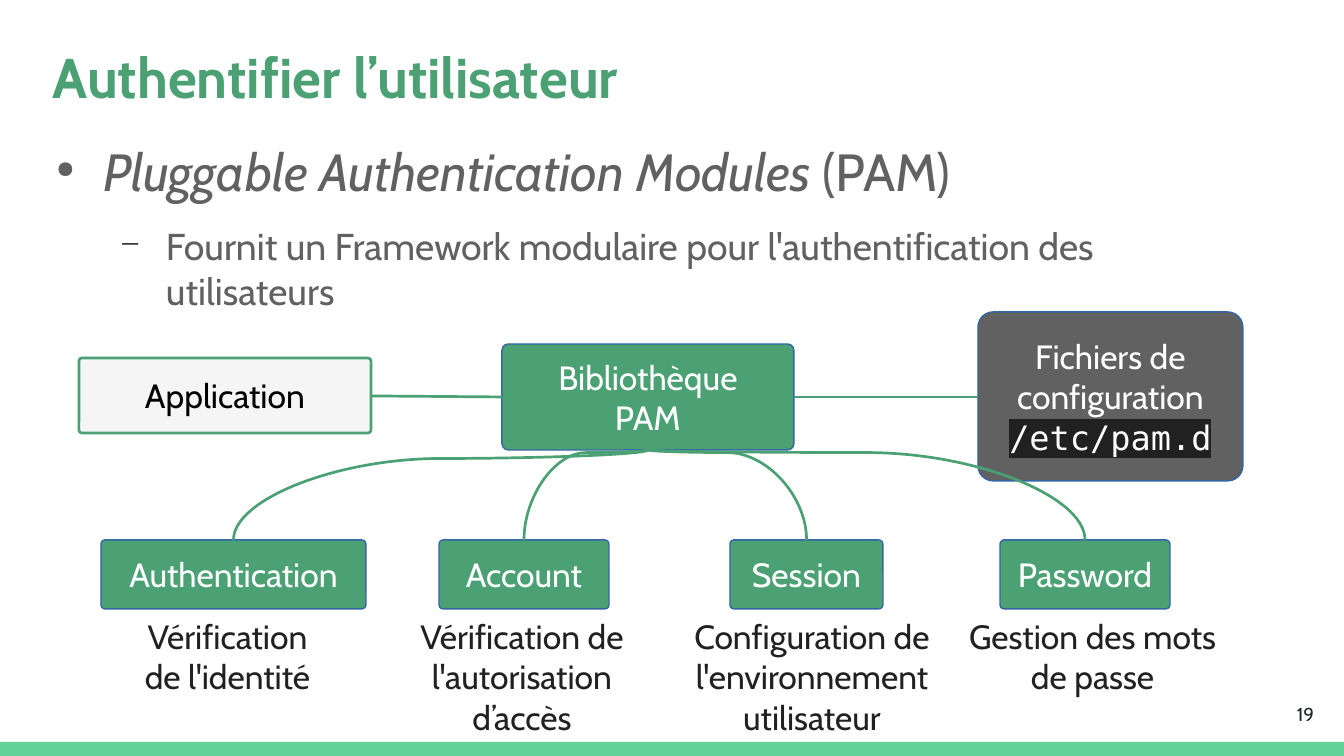
from pptx import Presentation
from pptx.dml.color import RGBColor
from pptx.enum.shapes import MSO_CONNECTOR as Connector, MSO_SHAPE as Shape
from pptx.enum.text import MSO_ANCHOR as Anchor, PP_ALIGN as Align
from pptx.oxml import parse_xml
from pptx.oxml.ns import nsdecls, qn
from pptx.util import Pt

PX = 9144000 / 1344
COLORS = {
    "green": "4BA173", "band": "63D297", "gray": "616161", "light": "F5F5F5",
    "blue": "3465A4", "dark": "212121", "number": "202729",
    "black": "000000", "white": "FFFFFF",
}


def px(*lengths):
    return [round(length * PX) for length in lengths]


def write_text(shape, text, size, color, align, anchor=Anchor.TOP, inset=7, wrap=True):
    """Fill a shape with text in one format; inset is the top and bottom margin in px."""
    frame = shape.text_frame
    frame.word_wrap = wrap
    frame.vertical_anchor = anchor
    frame.margin_left, frame.margin_right = px(13, 13)
    frame.margin_top, frame.margin_bottom = px(inset, inset)
    frame.text = text
    for paragraph in frame.paragraphs:
        paragraph.alignment = align
        for run in paragraph.runs:
            run.font.size = Pt(size)
            run.font.name = "Cabin"
            run.font.color.rgb = RGBColor.from_string(COLORS[color])


presentation = Presentation()
presentation.slide_width, presentation.slide_height = px(1344, 756)
slide = presentation.slides.add_slide(presentation.slide_layouts[6])
shapes = slide.shapes

# Bottom band, title and slide number
band = shapes.add_shape(Shape.RECTANGLE, *px(0, 742, 1344, 14))
band.shadow.inherit = False
band.fill.solid()
band.fill.fore_color.rgb = RGBColor.from_string(COLORS["band"])
band.line.fill.background()

title = shapes.add_textbox(*px(40, 20, 1282, 85))
write_text(title, "Authentifier l’utilisateur", 30, "green", Align.LEFT, inset=13)
title_paragraph = title.text_frame.paragraphs[0]
title_paragraph.line_spacing = 1.15
title_paragraph.runs[0].font.bold = True

number = shapes.add_textbox(*px(1246, 685, 81, 58))
write_text(number, "19", 10, "number", Align.RIGHT, Anchor.MIDDLE, inset=13)

# Bulleted text
body = shapes.add_textbox(*px(27, 117, 1254, 210))
write_text(
    body,
    "Pluggable Authentication Modules\n"
    "Fournit un Framework modulaire pour l'authentification des utilisateurs",
    20, "gray", Align.LEFT, inset=13,
)
heading, detail = body.text_frame.paragraphs
heading.line_spacing = 1.15
detail.level = 1
detail.space_before = Pt(11.3)
heading.add_run().text = " (PAM)"
for run in heading.runs:
    run.font.size = Pt(28)
    run.font.name = "Cabin"
    run.font.color.rgb = RGBColor.from_string(COLORS["gray"])
heading.runs[0].font.italic = True

bullets = [(heading, 63, "●", "gray", 45), (detail, 126, "−", "black", 75)]
for paragraph, margin, character, color, percent in bullets:
    properties = paragraph._p.get_or_add_pPr()
    margin_emu, indent_emu = px(margin, -47)
    properties.set("marL", str(margin_emu))
    properties.set("indent", str(indent_emu))
    for xml in (
        f'<a:buClr {nsdecls("a")}><a:srgbClr val="{COLORS[color]}"/></a:buClr>',
        f'<a:buSzPct {nsdecls("a")} val="{percent * 1000}"/>',
        f'<a:buChar {nsdecls("a")} char="{character}"/>',
    ):
        properties.append(parse_xml(xml))

# Boxes of the diagram; \v is a line break
MODULE_TOP, MODULE_HEIGHT = 540, 69
modules = [
    ("Authentication", 101, 265), ("Account", 439, 170),
    ("Session", 730, 153), ("Password", 1000, 170),
]
boxes = [
    ("Application", 79, 358, 292, 75, 0.04, "light", "green", 1.45, "black"),
    ("Bibliothèque\vPAM", 502, 344, 292, 106, 0.06, "green", "blue", 0, "white"),
    ("Fichiers de\vconfiguration\v", 978, 312, 265, 169, 0.09, "gray", "blue", 0, "white"),
] + [
    (name, left, MODULE_TOP, width, MODULE_HEIGHT, 0.06, "green", "blue", 0, "white")
    for name, left, width in modules
]
for text, left, top, width, height, corner, fill, line, line_width, color in boxes:
    box = shapes.add_shape(Shape.ROUNDED_RECTANGLE, *px(left, top, width, height))
    box.adjustments[0] = corner
    box.shadow.inherit = False
    box.fill.solid()
    box.fill.fore_color.rgb = RGBColor.from_string(COLORS[fill])
    box.line.color.rgb = RGBColor.from_string(COLORS[line])
    box.line.width = Pt(line_width)
    write_text(box, text, 18, color, Align.CENTER, Anchor.MIDDLE, wrap=False)
    if text.startswith("Fichiers"):
        folder = box.text_frame.paragraphs[0].add_run()
        folder.text = "/etc/pam.d"
        folder.font.size = Pt(18)
        folder.font.color.rgb = RGBColor.from_string(COLORS["white"])
        folder.font.name = "DejaVu Sans Mono"
        highlight = parse_xml(
            f'<a:highlight {nsdecls("a")}><a:srgbClr val="{COLORS["dark"]}"/></a:highlight>'
        )
        folder._r.rPr.find(qn("a:latin")).addprevious(highlight)

# Straight links, then curves from the library down to each module
connectors = [
    shapes.add_connector(Connector.STRAIGHT, *px(371, 396, 502, 397)),
    shapes.add_connector(Connector.STRAIGHT, *px(794, 397, 978, 397)),
]
LIBRARY_CENTER, LIBRARY_BOTTOM = 648, 450
drop = MODULE_TOP - LIBRARY_BOTTOM
for (name, left, width), bend in zip(modules, (9500, 2900, 2900, 2900)):
    module_center = left + width / 2
    span = abs(module_center - LIBRARY_CENTER)
    middle_x = (module_center + LIBRARY_CENTER) / 2
    middle_y = LIBRARY_BOTTOM + drop / 2
    # The box is laid on its side, then turned about its centre
    curve = shapes.add_connector(
        Connector.CURVE,
        *px(middle_x - drop / 2, middle_y - span / 2, middle_x + drop / 2, middle_y + span / 2),
    )
    transform = curve._element.spPr.find(qn("a:xfrm"))
    if module_center < LIBRARY_CENTER:
        transform.set("rot", str(90 * 60000))
    else:
        transform.set("rot", str(270 * 60000))
        transform.set("flipH", "1")
    geometry = curve._element.spPr.find(qn("a:prstGeom"))
    geometry.find(qn("a:avLst")).append(
        parse_xml(f'<a:gd {nsdecls("a")} name="adj1" fmla="val {bend}"/>')
    )
    connectors.append(curve)
for connector in connectors:
    connector.line.color.rgb = RGBColor.from_string(COLORS["green"])
    connector.line.width = Pt(1.45)
    connector._element.spPr.append(parse_xml(f'<a:effectLst {nsdecls("a")}/>'))

# Captions under the modules
captions = [
    ("Vérification de l'identité", 122, 211, 150),
    ("Vérification de l'autorisation d’accès", 376, 292, 150),
    ("Configuration de l'environnement utilisateur", 666, 292, 196),
    ("Gestion des mots de passe", 952, 281, 144),
]
for text, left, width, height in captions:
    caption = shapes.add_textbox(*px(left, MODULE_TOP + MODULE_HEIGHT, width, height))
    write_text(caption, text, 18, "dark", Align.CENTER)

presentation.save("out.pptx")
